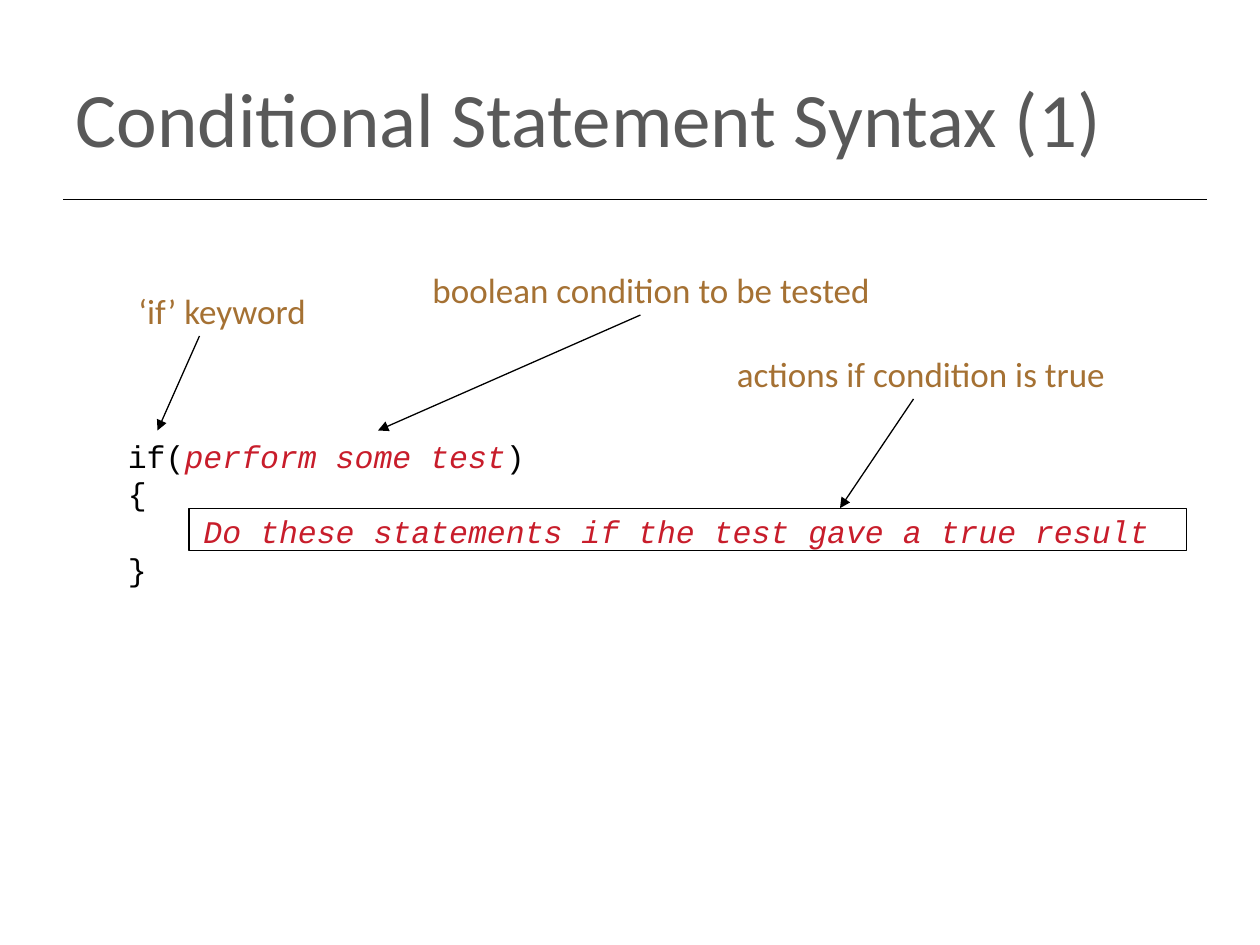
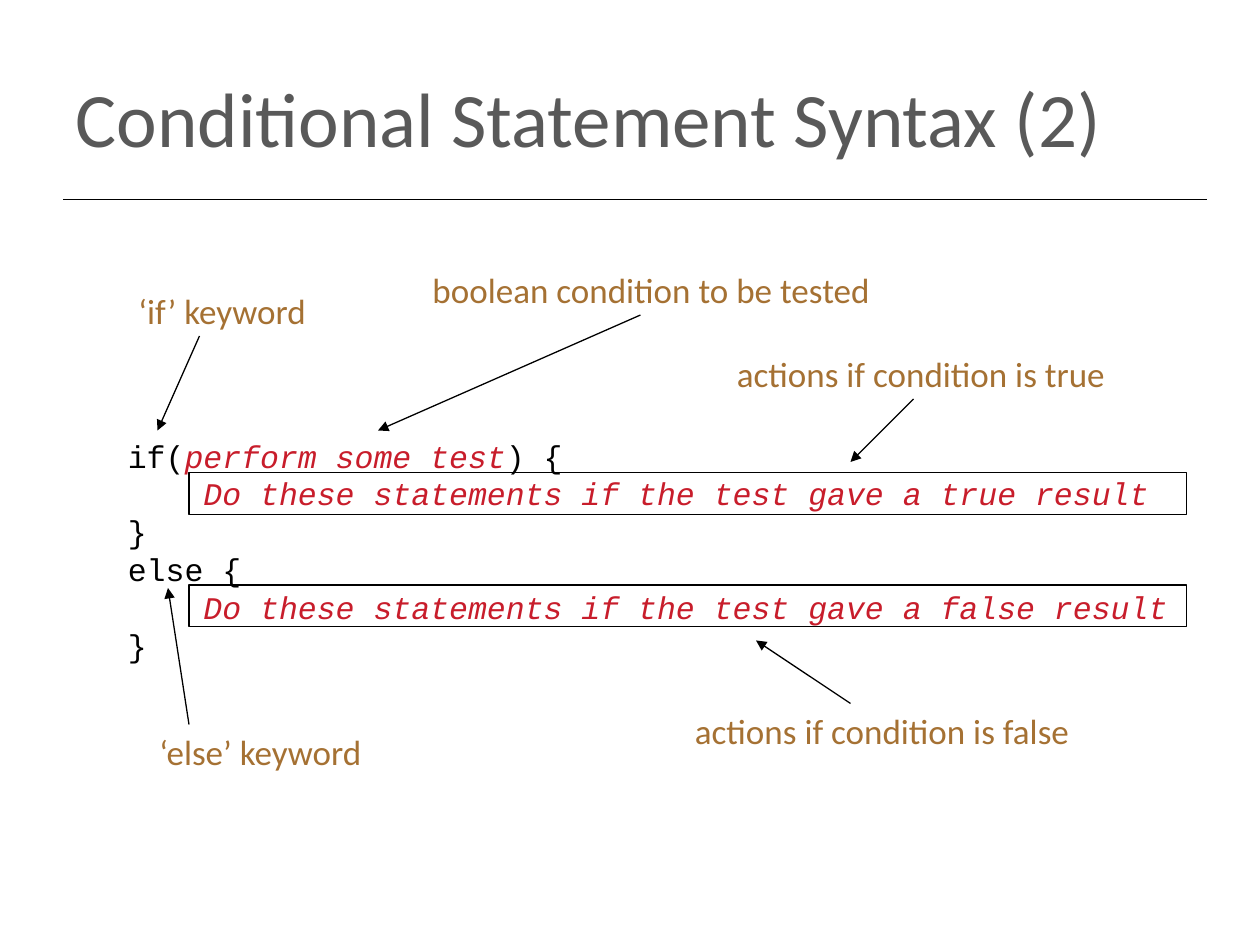
from dataclasses import dataclass, field

import pptx
import pptx.dml.color
import pptx.enum.shapes
import pptx.enum.text
import pptx.oxml.ns
import pptx.oxml.xmlchemy
import pptx.presentation
import pptx.shapes.connector
import pptx.slide
import pptx.text.text
import pptx.util
from lxml import etree

COLUMNS, ROWS = 120, 90
WIDTH, HEIGHT = pptx.util.Inches(10), pptx.util.Inches(7.5)


def color(value: str) -> pptx.dml.color.RGBColor:
    return pptx.dml.color.RGBColor.from_string(value)


@dataclass(frozen=True)
class Style:
    name: str
    size: int
    color: str
    italic: bool = False


@dataclass(frozen=True)
class Theme:
    title: Style = Style("Calibri", 44, "595959")
    label: Style = Style("Calibri", 20, "A57133")
    code: Style = Style("Courier New", 18, "000000")
    blank: Style = Style("Courier New", 18, "C81D2B", italic=True)
    line: str = "000000"
    rule_width: float = 1
    line_width: float = 0.75
    code_indent: float = 0.6  # inches: four characters of code


THEME = Theme()


@dataclass(frozen=True)
class Area:
    """A rectangle in grid columns and rows."""
    column: float
    row: float
    columns: float
    rows: float

    def lengths(self) -> tuple[int, int, int, int]:
        return (across(self.column), down(self.row),
                across(self.columns), down(self.rows))


@dataclass(frozen=True)
class Arrow:
    start: tuple[float, float]
    end: tuple[float, float]


@dataclass(frozen=True)
class Label:
    text: str
    area: Area
    arrow: Arrow


@dataclass(frozen=True)
class CodeLine:
    """Plain text around an optional part for the reader to fill in."""
    before: str = ""
    blank: str = ""
    after: str = ""
    indented: bool = False


@dataclass(frozen=True)
class SyntaxSlide:
    title: str
    code: list[CodeLine]
    code_rows: float
    frame_rows: list[float]
    labels: list[Label] = field(default_factory=list)


def across(columns: float) -> int:
    return round(WIDTH * columns / COLUMNS)


def down(rows: float) -> int:
    return round(HEIGHT * rows / ROWS)


def add_span(para: pptx.text.text._Paragraph, text: str, style: Style) -> None:
    span = para.add_run()
    span.text = text
    formats = {"name": style.name, "size": pptx.util.Pt(style.size),
               "italic": style.italic}
    for name, value in formats.items():
        setattr(span.font, name, value)
    span.font.color.rgb = color(style.color)


def add_text_box(page: pptx.slide.Slide, area: Area) -> pptx.text.text.TextFrame:
    frame = page.shapes.add_textbox(*area.lengths()).text_frame
    frame.word_wrap = True
    return frame


def add_line(page: pptx.slide.Slide, arrow: Arrow, width: float,
             head: bool = True) -> None:
    (left, top), (right, bottom) = arrow.start, arrow.end
    line = page.shapes.add_connector(
        pptx.enum.shapes.MSO_CONNECTOR.STRAIGHT,
        across(left), down(top), across(right), down(bottom))
    line.line.color.rgb = color(THEME.line)
    line.line.width = pptx.util.Pt(width)
    if head:
        etree.SubElement(line.line._get_or_add_ln(),
                         pptx.oxml.ns.qn("a:tailEnd"), type="triangle")
    etree.SubElement(line.element.spPr, pptx.oxml.ns.qn("a:effectLst"))


def add_frame(page: pptx.slide.Slide, row: float) -> None:
    """Outline one indented statement of the code."""
    box = page.shapes.add_shape(pptx.enum.shapes.MSO_SHAPE.RECTANGLE,
                                *Area(18, row, 95, 4).lengths())
    box.shadow.inherit = False
    box.fill.background()
    box.line.color.rgb = color(THEME.line)
    box.line.width = pptx.util.Pt(THEME.line_width)


def add_title(page: pptx.slide.Slide, text: str) -> None:
    title = page.shapes.title
    names = ("left", "top", "width", "height")
    for name, value in zip(names, Area(6, 3.6, 108, 15).lengths()):
        setattr(title, name, value)
    title.text_frame.vertical_anchor = pptx.enum.text.MSO_ANCHOR.MIDDLE
    para = title.text_frame.paragraphs[0]
    para.alignment = pptx.enum.text.PP_ALIGN.LEFT
    add_span(para, text, THEME.title)
    add_line(page, Arrow((6, 19), (115, 19)), THEME.rule_width, head=False)


def add_code(page: pptx.slide.Slide, lines: list[CodeLine], rows: float) -> None:
    frame = add_text_box(page, Area(11, 41, 102, rows))
    for index, line in enumerate(lines):
        para = frame.add_paragraph() if index else frame.paragraphs[0]
        if line.indented:
            indent = pptx.util.Inches(THEME.code_indent)
            para._p.get_or_add_pPr().set("marL", str(indent))
        parts = ((line.before, THEME.code), (line.blank, THEME.blank),
                 (line.after, THEME.code))
        for text, style in parts:
            if text:
                add_span(para, text, style)


def add_label(page: pptx.slide.Slide, label: Label) -> None:
    frame = add_text_box(page, label.area)
    add_span(frame.paragraphs[0], label.text, THEME.label)
    add_line(page, label.arrow, THEME.line_width)


def add_syntax_slide(deck: pptx.presentation.Presentation,
                     content: SyntaxSlide) -> None:
    page = deck.slides.add_slide(deck.slide_layouts[5])
    add_title(page, content.title)
    add_code(page, content.code, content.code_rows)
    for label in content.labels:
        add_label(page, label)
    for row in content.frame_rows:
        add_frame(page, row)


def label_area(column: float, row: float, columns: float) -> Area:
    return Area(column, row, columns, 5.2)


def true_label(tip: tuple[float, float]) -> Label:
    return Label("actions if condition is true", label_area(69, 33, 42),
                 Arrow((87, 38), tip))


def statement(result: str) -> CodeLine:
    return CodeLine(blank=f"Do these statements if the test gave a {result} result",
                    indented=True)


TEST = "perform some test"
IF_LABELS = [
    Label("‘if’ keyword", label_area(12, 27, 21), Arrow((19, 32), (15, 41))),
    Label("boolean condition to be tested", label_area(40, 25, 50),
          Arrow((61, 30), (36, 41))),
]
ELSE_LABELS = [
    Label("actions if condition is false", label_area(65, 67, 44),
          Arrow((81, 67), (72, 61))),
    Label("‘else’ keyword", label_area(14, 69, 25), Arrow((18, 69), (16, 56))),
]
SLIDES = [
    SyntaxSlide(
        title="Conditional Statement Syntax (1)",
        code=[CodeLine("if(", TEST, ")"), CodeLine("{"), statement("true"),
              CodeLine("}")],
        code_rows=15.7,
        frame_rows=[48.4],
        labels=[*IF_LABELS, true_label((80, 48.4))]),
    SyntaxSlide(
        title="Conditional Statement Syntax (2)",
        code=[CodeLine("if(", TEST, ") {"), statement("true"), CodeLine("}"),
              CodeLine("else {"), statement("false"), CodeLine("}")],
        code_rows=22.8,
        frame_rows=[45, 55.7],
        labels=[*IF_LABELS, true_label((81, 44)), *ELSE_LABELS]),
]


def main() -> None:
    deck = pptx.Presentation()
    deck.slide_width, deck.slide_height = WIDTH, HEIGHT
    for content in SLIDES:
        add_syntax_slide(deck, content)
    deck.save("out.pptx")


if __name__ == "__main__":
    main()
